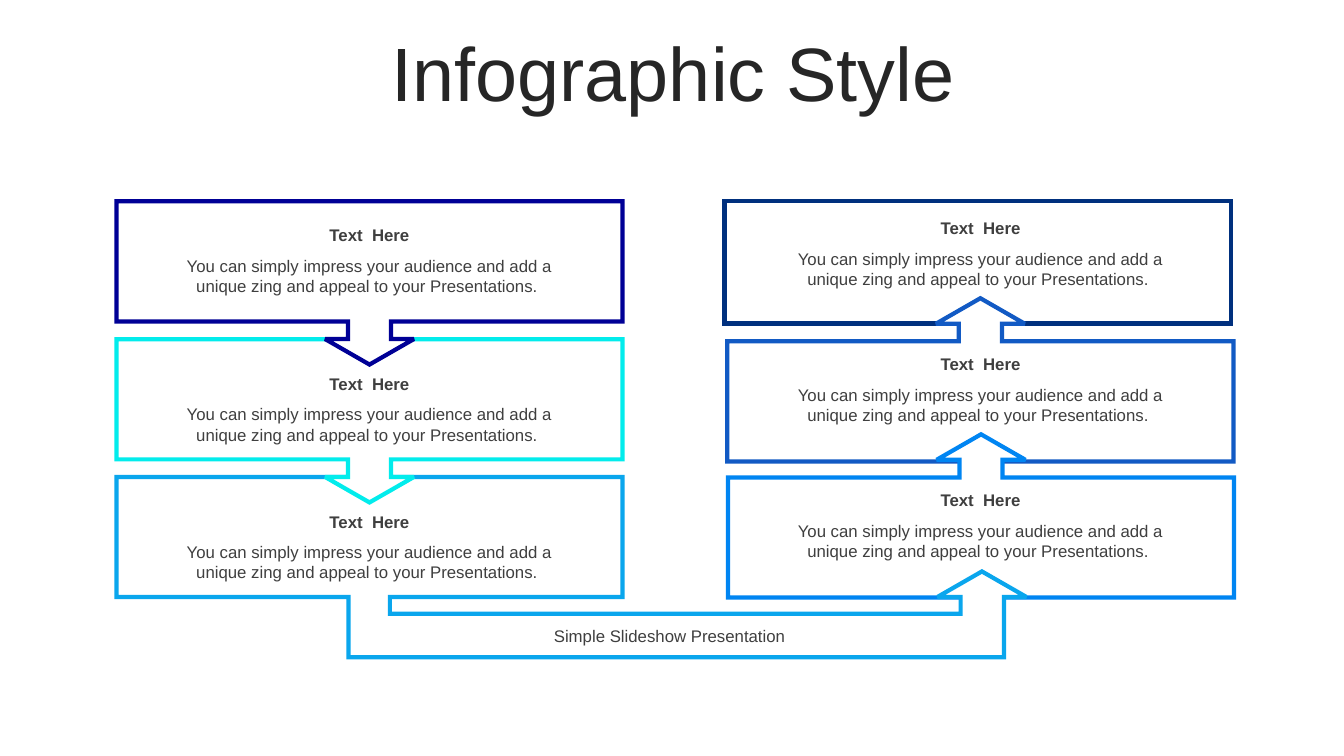
from dataclasses import dataclass

from lxml.etree import SubElement
from pptx import Presentation
from pptx.dml.color import RGBColor as Rgb
from pptx.enum.shapes import MSO_SHAPE as Kind
from pptx.enum.text import MSO_ANCHOR as Anchor, MSO_AUTO_SIZE as Fit, PP_ALIGN as Align
from pptx.oxml.ns import qn
from pptx.util import Pt


@dataclass(frozen=True)
class Theme:
    """Colours, font and type sizes of the slide."""
    font: str = "Arial"
    title: int = 54
    body: int = 12
    line: int = 3
    paper: str = "FFFFFF"
    dark: str = "262626"
    ink: str = "3F3F3F"
    navy: str = "000096"
    cyan: str = "02ECEC"
    sky: str = "0AA6ED"
    deep: str = "00307E"
    royal: str = "125AC4"
    azure: str = "0085F2"


LOOK = Theme()
HEAD = "Text  Here"
BODY = "You can simply impress your audience and add a unique zing and appeal to your Presentations. "
NOTE = "Simple Slideshow Presentation "
TOP, WIDE, TALL = 143.8, 361.5, 116.6
LEFT, STEP = 83.2, 98.5


def place(shape, left, top, width, height):
    """Move and size a shape in points."""
    shape.left, shape.top = Pt(left), Pt(top)
    shape.width, shape.height = Pt(width), Pt(height)


def write(shape, text, size=LOOK.body, color=LOOK.ink, bold=False,
          anchor=Anchor.TOP, fit=Fit.NONE, space=1.0):
    """Fill a shape with one centred paragraph."""
    frame = shape.text_frame
    frame.word_wrap = True
    frame.auto_size = fit
    frame.vertical_anchor = anchor
    para = frame.paragraphs[0]
    para.alignment = Align.CENTER
    para.line_spacing = space
    run = para.add_run()
    run.text = text
    font = run.font
    font.name, font.size, font.bold = LOOK.font, Pt(size), bold
    font.color.rgb = Rgb.from_string(color)


def paint(shape, color):
    """Give a shape a plain fill and a sharp outline."""
    shape.shadow.inherit = False
    shape.fill.solid()
    shape.fill.fore_color.rgb = Rgb.from_string(LOOK.paper)
    shape.line.color.rgb = Rgb.from_string(color)
    shape.line.width = Pt(LOOK.line)
    SubElement(shape.line._get_or_add_ln(), qn("a:miter"), lim="800000")


def add_box(slide, kind, color, left, top, width, height):
    """Add an outlined preset shape."""
    shape = slide.shapes.add_shape(kind, Pt(left), Pt(top), Pt(width), Pt(height))
    paint(shape, color)
    return shape


def add_call(slide, color, left, top, turn=0):
    """Add a box with an arrow that leads to the next box."""
    shape = add_box(slide, Kind.DOWN_ARROW_CALLOUT, color, left, top, WIDE, TALL)
    for pos, value in enumerate((0.264, 0.272, 0.156, 0.736)):
        shape.adjustments[pos] = value
    shape.rotation = turn


def add_path(slide, color, points):
    """Add a closed outline through points."""
    dots = [(Pt(x), Pt(y)) for x, y in points]
    pen = slide.shapes.build_freeform(*dots[0])
    pen.add_line_segments(dots[1:], close=True)
    paint(pen.convert_to_shape(), color)


def add_text(shapes, text, left, top, width, height, **form):
    """Add a text box."""
    box = shapes.add_textbox(Pt(left), Pt(top), Pt(width), Pt(height))
    write(box, text, **form)


def add_pair(slide, left, top):
    """Add a heading with its text as a group."""
    shapes = slide.shapes.add_group_shape().shapes
    add_text(shapes, HEAD, left, top, 298.8, 21.8, bold=True, fit=Fit.SHAPE_TO_FIT_TEXT)
    add_text(shapes, BODY, left, top + 21.9, 298.8, 36.35, fit=Fit.SHAPE_TO_FIT_TEXT)


def main():
    """Build and save the slide."""
    deck = Presentation()
    deck.slide_width, deck.slide_height = Pt(960), Pt(540)
    slide = deck.slides.add_slide(deck.slide_layouts[5])
    title = slide.shapes.title
    place(title, 25.2, 26.6, 911.5, 56.9)
    write(title, "Infographic Style", size=LOOK.title, color=LOOK.dark,
          anchor=Anchor.MIDDLE, space=0.9)

    add_box(slide, Kind.RECTANGLE, LOOK.deep, 517.5, TOP, 362, 87.3)
    add_call(slide, LOOK.royal, 519.5, 213, turn=180)
    add_call(slide, LOOK.azure, 520, 310.2, turn=180)

    right, floor, ledge, base = LEFT + WIDE, 426.4, 438.5, 469.5
    add_path(slide, LOOK.sky, [
        (LEFT, 340.8), (right, 340.8), (right, floor), (278.5, floor),
        (278.5, ledge), (686.2, ledge), (686.2, floor), (669.7, floor),
        (701.4, 408.2), (733.1, floor), (717.1, floor), (717.1, base),
        (249, base), (249, floor), (LEFT, floor)])
    add_call(slide, LOOK.cyan, LEFT, TOP + STEP)
    add_call(slide, LOOK.navy, LEFT, TOP)

    for left, tops in ((114.5, (157.2, 263.3, 361.7)), (551, (152, 249.2, 346.4))):
        for top in tops:
            add_pair(slide, left, top)
    add_text(slide.shapes, NOTE, 350, 442.1, 260, 23.8, anchor=Anchor.MIDDLE)
    deck.save("out.pptx")


if __name__ == "__main__":
    main()
